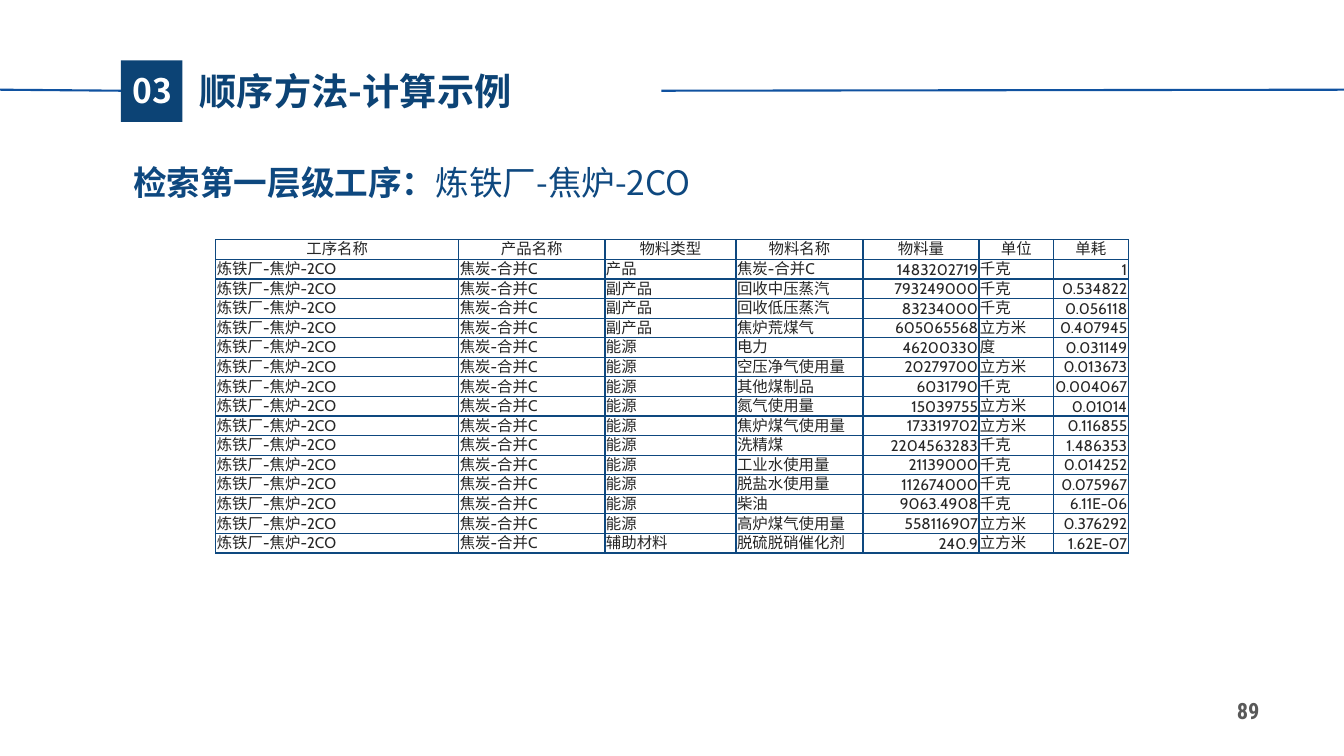
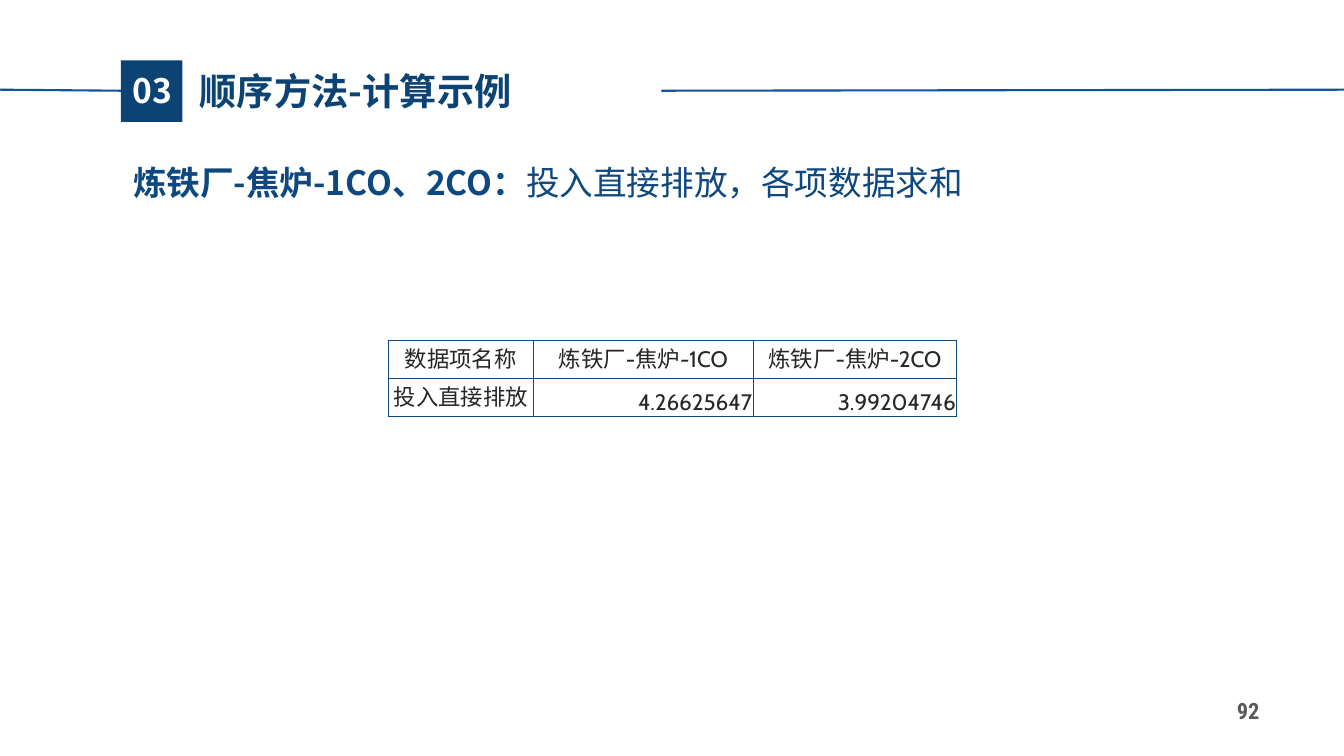
from dataclasses import dataclass

from lxml.etree import SubElement
from pptx import Presentation
from pptx.dml.color import RGBColor
from pptx.enum.shapes import MSO_CONNECTOR, MSO_SHAPE
from pptx.enum.text import MSO_ANCHOR as Anchor, MSO_AUTO_SIZE as AutoSize, PP_ALIGN as Align
from pptx.oxml.ns import qn
from pptx.util import Inches, Pt

COKE_OVEN = "炼铁厂-焦炉-2CO"
COKE = "焦炭-合并C"

MATERIALS = [
    ("产品", COKE, "1483202719", "千克", "1"),
    ("副产品", "回收中压蒸汽", "793249000", "千克", "0.534822"),
    ("副产品", "回收低压蒸汽", "83234000", "千克", "0.056118"),
    ("副产品", "焦炉荒煤气", "605065568", "立方米", "0.407945"),
    ("能源", "电力", "46200330", "度", "0.031149"),
    ("能源", "空压净气使用量", "20279700", "立方米", "0.013673"),
    ("能源", "其他煤制品", "6031790", "千克", "0.004067"),
    ("能源", "氮气使用量", "15039755", "立方米", "0.01014"),
    ("能源", "焦炉煤气使用量", "173319702", "立方米", "0.116855"),
    ("能源", "洗精煤", "2204563283", "千克", "1.486353"),
    ("能源", "工业水使用量", "21139000", "千克", "0.014252"),
    ("能源", "脱盐水使用量", "112674000", "千克", "0.075967"),
    ("能源", "柴油", "9063.4908", "千克", "6.11E-06"),
    ("能源", "高炉煤气使用量", "558116907", "立方米", "0.376292"),
    ("辅助材料", "脱硫脱硝催化剂", "240.9", "立方米", "1.62E-07"),
]

SECTION = {"number": "03", "title": "顺序方法-计算示例"}

SLIDES = [
    {
        "page": "89",
        "lead": "检索第一层级工序：",
        "detail": COKE_OVEN,
        "table": {
            "box": (2.14, 2.38, 3.11),
            "size": 11,
            "line_spacing": Pt(13),
            "columns": [
                ("工序名称", 2.41, Align.LEFT), ("产品名称", 1.45, Align.LEFT),
                ("物料类型", 1.3, Align.LEFT), ("物料名称", 1.26, Align.LEFT),
                ("物料量", 1.15, Align.RIGHT), ("单位", 0.74, Align.LEFT),
                ("单耗", 0.74, Align.RIGHT),
            ],
            "rows": [(COKE_OVEN, COKE, *material) for material in MATERIALS],
        },
    },
    {
        "page": "92",
        "lead": "炼铁厂-焦炉-1CO、2CO：",
        "detail": "投入直接排放，各项数据求和",
        "table": {
            "box": (3.85, 3.38, 0.75),
            "size": 16,
            "line_spacing": None,
            "columns": [
                ("数据项名称", 1.44, Align.CENTER),
                ("炼铁厂-焦炉-1CO", 2.18, Align.RIGHT),
                (COKE_OVEN, 2.02, Align.RIGHT),
            ],
            "rows": [("投入直接排放", "4.26625647", "3.99204746")],
        },
    },
]


@dataclass(frozen=True)
class Theme:
    navy: str = "0C4375"
    blue: str = "0E487F"
    rule: str = "1052A0"
    ink: str = "262626"
    grey: str = "595959"
    white: str = "FFFFFF"
    chinese: str = "Noto Sans CJK SC"
    table_font: str = "Cabin"
    page_font: str = "Roboto Condensed"
    title_size: float = 26.6
    text_size: float = 24
    page_size: float = 16
    rule_width: float = 1.5
    border_width: float = 1


THEME = Theme()


def apply(target, **values):
    for name, value in values.items():
        setattr(target, name, value)


def place(shape, left, top, width, height):
    apply(shape, left=Inches(left), top=Inches(top), width=Inches(width), height=Inches(height))


def write(paragraph, text, size, color, name=THEME.chinese, bold=True):
    run = paragraph.add_run()
    run.text = text
    apply(run.font, size=Pt(size), bold=bold, name=name)
    run.font.color.rgb = RGBColor.from_string(color)
    SubElement(run._r.get_or_add_rPr(), qn("a:ea"), typeface=THEME.chinese)


def add_band(slide, layout):
    parts = []
    for start, end in [((0, 0.89), (1.2, 0.9)), ((6.56, 0.9), (13.33, 0.89))]:
        line = slide.shapes.add_connector(
            MSO_CONNECTOR.STRAIGHT, *map(Inches, start), *map(Inches, end))
        line.line.width = Pt(THEME.rule_width)
        line.line.color.rgb = RGBColor.from_string(THEME.rule)
        SubElement(line.element.spPr, qn("a:effectLst"))
        parts.append(line)
    badge = slide.shapes.add_shape(
        MSO_SHAPE.RECTANGLE, *map(Inches, (1.2, 0.6, 0.61, 0.61)))
    badge.shadow.inherit = False
    badge.fill.solid()
    badge.fill.fore_color.rgb = RGBColor.from_string(THEME.navy)
    badge.line.fill.background()
    parts.append(badge)
    for part in parts:
        layout.shapes._spTree.append(part.element)


def fill_placeholder(shape, box, text, size, color, align):
    place(shape, *box)
    apply(shape.text_frame, word_wrap=True, vertical_anchor=Anchor.TOP,
          auto_size=AutoSize.SHAPE_TO_FIT_TEXT)
    paragraph = shape.text_frame.paragraphs[0]
    properties = paragraph._p.get_or_add_pPr()
    properties.set("marL", "0")
    properties.set("indent", "0")
    SubElement(properties, qn("a:buNone"))
    apply(paragraph, alignment=align, line_spacing=1.0, space_before=Pt(0))
    write(paragraph, text, size, color)


def add_heading(slide, lead, detail):
    frame = slide.shapes.add_textbox(*map(Inches, (1.19, 1.34, 10.85, 0.67))).text_frame
    apply(frame, word_wrap=True, auto_size=AutoSize.SHAPE_TO_FIT_TEXT,
          margin_left=Inches(0.13), margin_right=Inches(0.13),
          margin_top=Inches(0.07), margin_bottom=Inches(0.07))
    paragraph = frame.paragraphs[0]
    paragraph.line_spacing = 1.5
    write(paragraph, lead, THEME.text_size, THEME.blue)
    write(paragraph, detail, THEME.text_size, THEME.blue, bold=False)


def add_page_number(slide, page):
    frame = slide.shapes.add_textbox(*map(Inches, (12.07, 6.87, 0.62, 0.36))).text_frame
    apply(frame, word_wrap=True, vertical_anchor=Anchor.MIDDLE)
    paragraph = frame.paragraphs[0]
    paragraph.alignment = Align.CENTER
    write(paragraph, page, THEME.page_size, THEME.grey, THEME.page_font)


def add_borders(cell):
    properties = cell._tc.get_or_add_tcPr()
    for side in ("lnL", "lnR", "lnT", "lnB"):
        line = SubElement(properties, qn(f"a:{side}"), w=str(Pt(THEME.border_width)))
        SubElement(SubElement(line, qn("a:solidFill")), qn("a:srgbClr"), val=THEME.blue)


def format_cell(cell, text, align, size, line_spacing):
    margin = Inches(0.01)
    apply(cell, margin_left=margin, margin_right=margin, margin_top=margin, margin_bottom=0,
          vertical_anchor=Anchor.TOP if align == Align.CENTER else Anchor.BOTTOM)
    add_borders(cell)
    cell.fill.background()
    paragraph = cell.text_frame.paragraphs[0]
    apply(paragraph, alignment=align, line_spacing=line_spacing)
    write(paragraph, text, size, THEME.ink, THEME.table_font, bold=False)


def add_data_table(slide, content):
    headers, widths, aligns = zip(*content["columns"])
    rows = [headers, *content["rows"]]
    left, top, height = content["box"]
    table = slide.shapes.add_table(
        len(rows), len(headers), *map(Inches, (left, top, sum(widths), height))).table
    apply(table, first_row=False, horz_banding=False)
    for column, width in zip(table.columns, widths):
        column.width = Inches(width)
    for index, (row, texts) in enumerate(zip(table.rows, rows)):
        row.height = Inches(height / len(rows))
        for cell, text, align in zip(row.cells, texts, aligns):
            format_cell(cell, text, align if index else Align.CENTER,
                        content["size"], content["line_spacing"])


def main():
    presentation = Presentation()
    apply(presentation, slide_width=Inches(13.33), slide_height=Inches(7.5))
    layout = presentation.slide_layouts[1]
    for index, content in enumerate(SLIDES):
        slide = presentation.slides.add_slide(layout)
        if index == 0:
            add_band(slide, layout)
        fill_placeholder(slide.shapes.title, (1.88, 0.63, 4.4, 0.55), SECTION["title"],
                         THEME.title_size, THEME.navy, Align.LEFT)
        fill_placeholder(slide.placeholders[1], (1.19, 0.64, 0.64, 0.5), SECTION["number"],
                         THEME.text_size, THEME.white, Align.CENTER)
        add_heading(slide, content["lead"], content["detail"])
        add_data_table(slide, content["table"])
        add_page_number(slide, content["page"])
    presentation.save("out.pptx")


if __name__ == "__main__":
    main()
